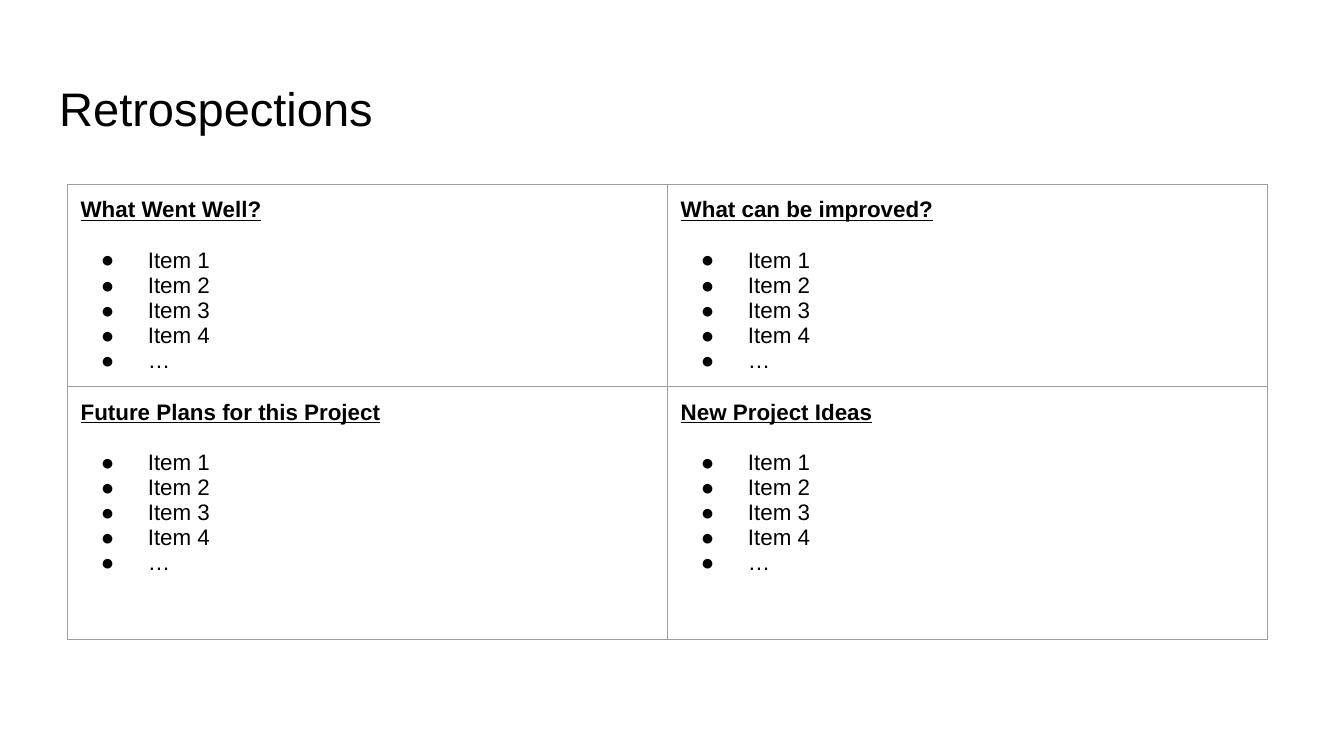
from lxml import etree
from pptx import Presentation
from pptx.dml.color import RGBColor
from pptx.enum.text import MSO_ANCHOR, PP_ALIGN
from pptx.oxml.ns import qn
from pptx.util import Inches, Pt

LEFT, TOP, MIDDLE = PP_ALIGN.LEFT, MSO_ANCHOR.TOP, MSO_ANCHOR.MIDDLE
TITLE_ONLY = 5

TITLE = "Retrospections"
ITEMS = ["Item 1", "Item 2", "Item 3", "Item 4", "…"]
QUADRANTS = [
    ["What Went Well?", "What can be improved?"],
    ["Future Plans for this Project", "New Project Ideas"],
]

THEME = {"font": "Arial", "text": "000000", "border": "9E9E9E",
         "title": 25.2, "body": 12, "border_width": 0.75}

SLIDE_W = 10
SLIDE_H = SLIDE_W * 9 / 16
TITLE_BOX = (0.34, 0.49, 9.32, 0.63)
TABLE_LEFT, TABLE_TOP, TABLE_W = 0.5, 1.37, 8.93
ROW_HEIGHTS = [1.5, 1.88]
INSET = 0.1
BULLET_INDENT, BULLET_HANG = 0.5, 0.35
HEADING_GAP = 13.4

MARGINS = {f"margin_{side}": Inches(INSET)
           for side in ("left", "top", "right", "bottom")}


def set_attrs(target, values):
    for name, value in values.items():
        setattr(target, name, value)


def write(p, text, size, **style):
    p.alignment = LEFT
    r = p.add_run()
    r.text = text
    set_attrs(r.font, {"name": THEME["font"], "size": Pt(size), **style})
    r.font.color.rgb = RGBColor.from_string(THEME["text"])


def add_color(parent, color):
    etree.SubElement(parent, qn("a:srgbClr"), val=color)


def add_bullet(p):
    pPr = p._p.get_or_add_pPr()
    pPr.set("marL", str(Inches(BULLET_INDENT)))
    pPr.set("indent", str(-Inches(BULLET_HANG)))
    add_color(etree.SubElement(pPr, qn("a:buClr")), THEME["text"])
    etree.SubElement(pPr, qn("a:buFont"), typeface=THEME["font"])
    etree.SubElement(pPr, qn("a:buChar"), char="●")


def add_borders(cell):
    tcPr = cell._tc.get_or_add_tcPr()
    for side in ("lnL", "lnR", "lnT", "lnB"):
        ln = etree.SubElement(tcPr, qn(f"a:{side}"),
                              w=str(Pt(THEME["border_width"])))
        add_color(etree.SubElement(ln, qn("a:solidFill")), THEME["border"])


def fill_cell(cell, heading):
    set_attrs(cell, {**MARGINS, "vertical_anchor": TOP})
    add_borders(cell)
    cell.fill.background()
    tf = cell.text_frame
    p = tf.paragraphs[0]
    p.space_after = Pt(HEADING_GAP)
    write(p, heading, THEME["body"], bold=True, underline=True)
    for item in ITEMS:
        p = tf.add_paragraph()
        write(p, item, THEME["body"], bold=False, underline=False)
        add_bullet(p)


def add_title(slide):
    sp = slide.shapes.title
    set_attrs(sp, dict(zip(("left", "top", "width", "height"),
                           map(Inches, TITLE_BOX))))
    tf = sp.text_frame
    set_attrs(tf, {**MARGINS, "vertical_anchor": MIDDLE, "word_wrap": True})
    write(tf.paragraphs[0], TITLE, THEME["title"])


def add_quadrants(slide):
    rows, cols = len(QUADRANTS), len(QUADRANTS[0])
    table = slide.shapes.add_table(
        rows, cols, Inches(TABLE_LEFT), Inches(TABLE_TOP),
        Inches(TABLE_W), Inches(sum(ROW_HEIGHTS))).table
    set_attrs(table, {"first_row": False, "horz_banding": False})
    for row, height in zip(table.rows, ROW_HEIGHTS):
        row.height = Inches(height)
    for r, headings in enumerate(QUADRANTS):
        for c, heading in enumerate(headings):
            fill_cell(table.cell(r, c), heading)


def main():
    prs = Presentation()
    prs.slide_width, prs.slide_height = Inches(SLIDE_W), Inches(SLIDE_H)
    slide = prs.slides.add_slide(prs.slide_layouts[TITLE_ONLY])
    add_title(slide)
    add_quadrants(slide)
    prs.save("out.pptx")


if __name__ == "__main__":
    main()
